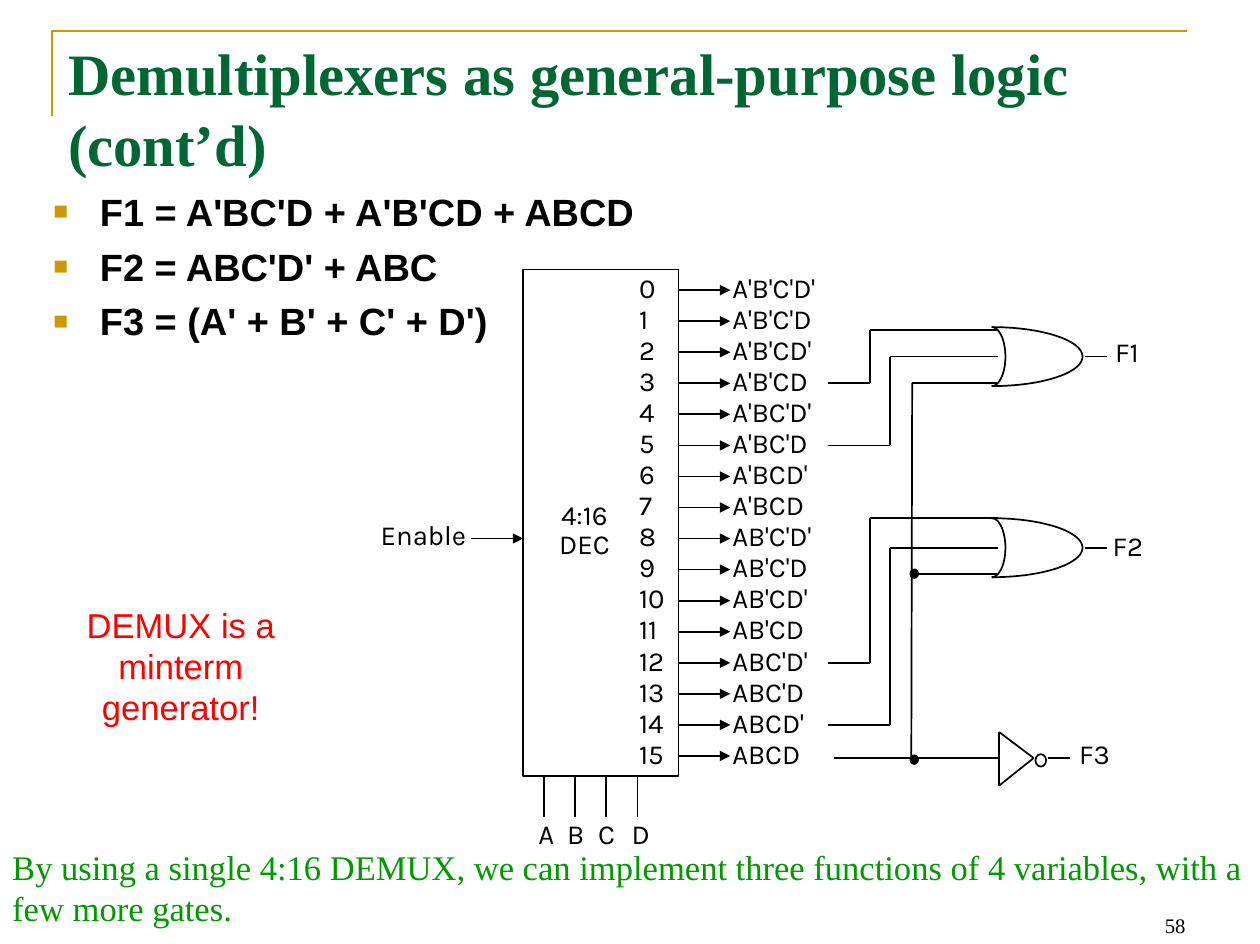
from math import cos, pi, sin

from lxml.etree import SubElement
from pptx import Presentation
from pptx.dml.color import RGBColor
from pptx.enum.shapes import MSO_CONNECTOR as Connector, MSO_SHAPE as Preset
from pptx.enum.text import MSO_ANCHOR as Anchor, PP_ALIGN as Align
from pptx.oxml.ns import qn
from pptx.util import Pt

BLACK = RGBColor(0, 0, 0)
GOLD = RGBColor(0xCC, 0x99, 0x00)
DARK_GREEN = RGBColor(0x00, 0x66, 0x33)
GREEN = RGBColor(0x00, 0x99, 0x00)
RED = RGBColor(0xFF, 0, 0)
SERIF, SANS, DIAGRAM = "Times New Roman", "Arial", "Karla"
ROW = 18
FIRST_ROW = 12


def add_text(page, left, top, width, height, text, *, font=DIAGRAM, size=16,
             color=BLACK, bold=False, align=Align.LEFT, anchor=Anchor.TOP,
             margins=(7.2, 3.6), leading=None, before=0):
    """Each item of a list is a paragraph; a newline breaks the line."""
    box = page.shapes.add_textbox(Pt(left), Pt(top), Pt(width), Pt(height))
    frame = box.text_frame
    frame.word_wrap = True
    frame.vertical_anchor = anchor
    frame.margin_left = frame.margin_right = Pt(margins[0])
    frame.margin_top = frame.margin_bottom = Pt(margins[1])
    for index, content in enumerate([text] if isinstance(text, str) else text):
        para = frame.add_paragraph() if index else frame.paragraphs[0]
        para.alignment = align
        para.space_before = Pt(before)
        if leading:
            para.line_spacing = Pt(leading)
        for number, line in enumerate(content.split("\n")):
            if number:
                para.add_line_break()
            span = para.add_run()
            span.text = line
            span.font.name, span.font.size = font, Pt(size)
            span.font.bold, span.font.color.rgb = bold, color
    return frame


def add_label(page, left, top, width, height, text, leading=17, **form):
    return add_text(page, left, top, width, height, text,
                    margins=(1.7, 2), leading=leading, **form)


def add_wire(page, *points, arrow=False):
    for start, end in zip(points, points[1:]):
        wire = page.shapes.add_connector(
            Connector.STRAIGHT, *(Pt(value) for value in (*start, *end)))
        wire.line.color.rgb = BLACK
        wire.line.width = Pt(1)
        if arrow:
            SubElement(wire.line._get_or_add_ln(), qn("a:tailEnd"), type="triangle")
        SubElement(wire._element.spPr, qn("a:effectLst"))


def add_outline(page, points, color=BLACK, width=1):
    start, *rest = [(Pt(x), Pt(y)) for x, y in points]
    builder = page.shapes.build_freeform(*start)
    builder.add_line_segments(rest, close=False)
    shape = builder.convert_to_shape()
    shape.shadow.inherit = False
    shape.fill.background()
    shape.line.color.rgb = color
    shape.line.width = Pt(width)


def add_preset(page, preset, left, top, width, height, filled=False):
    shape = page.shapes.add_shape(preset, Pt(left), Pt(top), Pt(width), Pt(height))
    shape.shadow.inherit = False
    shape.line.color.rgb = BLACK
    shape.line.width = Pt(1)
    if filled:
        shape.fill.solid()
        shape.fill.fore_color.rgb = BLACK
    else:
        shape.fill.background()


def minterm(row):
    return "".join(letter + ("" if row >> bit & 1 else "'")
                   for letter, bit in zip("ABCD", (3, 2, 1, 0)))


def draw_heading(page, left, top, width, height):
    add_outline(page, [(left, top + 49), (left, top), (left + 657.4, top)], GOLD, 1.5)
    add_text(page, left + 2.2, top, width, height,
             "Demultiplexers as general-purpose logic (cont’d)",
             font=SERIF, size=34, color=DARK_GREEN, bold=True)


def draw_equations(page, left, top, width, height):
    frame = add_text(page, left, top, width, height,
                     ["F1 = A'BC'D + A'B'CD + ABCD", "F2 = ABC'D' + ABC",
                      "F3 = (A' + B' + C' + D')"],
                     font=SANS, size=22, bold=True, before=5.3)
    for para in frame.paragraphs:
        props = para._p.get_or_add_pPr()
        props.set("marL", str(Pt(27)))
        props.set("indent", str(-Pt(27)))
        SubElement(SubElement(props, qn("a:buClr")), qn("a:srgbClr"), val=str(GOLD))
        SubElement(props, qn("a:buSzPct"), val="65000")
        SubElement(props, qn("a:buFont"), typeface=SANS)
        SubElement(props, qn("a:buChar"), char="■")


def draw_decoder(page, left, top, width, height):
    right, bottom = left + width, top + height
    add_preset(page, Preset.RECTANGLE, left, top, width, height)
    add_label(page, left - 8, top + 132.5, 87, 64, "4:16\nDEC", align=Align.CENTER)
    # Outputs
    rows = "\n".join(f"{row}\t{minterm(row)}" for row in range(16))
    frame = add_label(page, left + 65.5, top, 125, 302, rows, leading=ROW)
    tabs = SubElement(frame.paragraphs[0]._p.get_or_add_pPr(), qn("a:tabLst"))
    SubElement(tabs, qn("a:tab"), pos=str(Pt(54)), algn="l")
    for row in range(16):
        y = top + FIRST_ROW + ROW * row
        add_wire(page, (right, y), (right + 30, y), arrow=True)
    # Enable and select inputs
    add_label(page, left - 84.2, top + 144, 62, 47, "Enable")
    add_wire(page, (left - 30, top + 156), (left, top + 156), arrow=True)
    for index, (letter, shift) in enumerate(zip("ABCD", (7.3, 8, 8, 7.3))):
        x = left + 12.2 + ROW * index
        add_wire(page, (x, bottom), (x, bottom + 23.7))
        add_label(page, x - 5 + (7.3 - shift) * 2, bottom + 23.7, 44, 47, letter)


def draw_or_gate(page, left, middle, name, label_left, label_top):
    for reach in (52.6, 7.9):
        angles = [pi * (step / 40 - 0.5) for step in range(41)]
        add_outline(page, [(left + reach * cos(angle), middle + 17.1 * sin(angle))
                           for angle in angles])
    add_wire(page, (left + 54, middle), (left + 67, middle))
    add_label(page, label_left, label_top, 50, 47, name)


def draw_inverter(page, left, middle, name):
    tip = (left + 20, middle)
    upper, lower = (left, middle - 15), (left, middle + 16)
    add_wire(page, tip, upper, lower, tip)
    add_preset(page, Preset.OVAL, left + 21, middle - 2.2, 6.2, 7.2)
    add_wire(page, (left + 28, middle), (left + 41, middle))
    add_label(page, left + 44.6, middle - 12.2, 50, 47, name)


def draw_logic(page, left, top):
    """Wires and gates to the right of the minterm column."""
    def row(number):
        return top + FIRST_ROW + ROW * number

    near, middle, far, gate = left + 24.5, left + 36, left + 48.5, left + 98.7
    first, second, third = top + 50.5, top + 161.3, row(15) + 1.2
    draw_or_gate(page, gate - 3.6, first, "F1", 644.4, first - 12.3)
    draw_or_gate(page, gate - 3.6, second, "F2", 643, second - 10.8)
    draw_inverter(page, gate + 0.7, third, "F3")
    for number, x, y in ((3, near, first - 15.2), (5, middle, first),
                         (12, near, second - 17.1), (14, middle, second)):
        add_wire(page, (left, row(number)), (x, row(number)), (x, y), (gate, y))
    # Minterm 15 feeds all three gates
    add_wire(page, (left + 3.5, third), (gate, third))
    add_wire(page, (far, third), (far + 0.5, first + 15.2), (gate, first + 15.2))
    add_wire(page, (far + 1, second + 15.1), (gate, second + 15.1))
    for y in (second + 15.1, third + 1):
        add_preset(page, Preset.OVAL, far - 0.5, y - 2.5, 4.4, 5, filled=True)


def draw_notes(page, left, top, width):
    add_text(page, left + 39.6, top - 140.4, 130.3, 80, "DEMUX is a minterm generator!",
             font=SANS, size=20, color=RED, align=Align.CENTER)
    add_text(page, left, top, width, 55.5,
             "By using a single 4:16 DEMUX, we can implement three functions of "
             "4 variables, with a few more gates.", font=SERIF, size=20, color=GREEN)
    add_text(page, left + 523.4, top + 23.8, 170.6, 36.7, "58", font=SERIF, size=12,
             align=Align.RIGHT, anchor=Anchor.BOTTOM)


def main():
    deck = Presentation()
    deck.slide_width, deck.slide_height = Pt(730), Pt(547.2)
    page = deck.slides.add_slide(deck.slide_layouts[6])
    draw_heading(page, 30.2, 18, 697.7, 67)
    draw_equations(page, 23.8, 105.8, 660, 356)
    draw_decoder(page, 303.1, 156.2, 90, 293.8)
    draw_logic(page, 479.5, 156.2)
    draw_notes(page, 0, 486.7, 730)
    deck.save("out.pptx")


if __name__ == "__main__":
    main()
